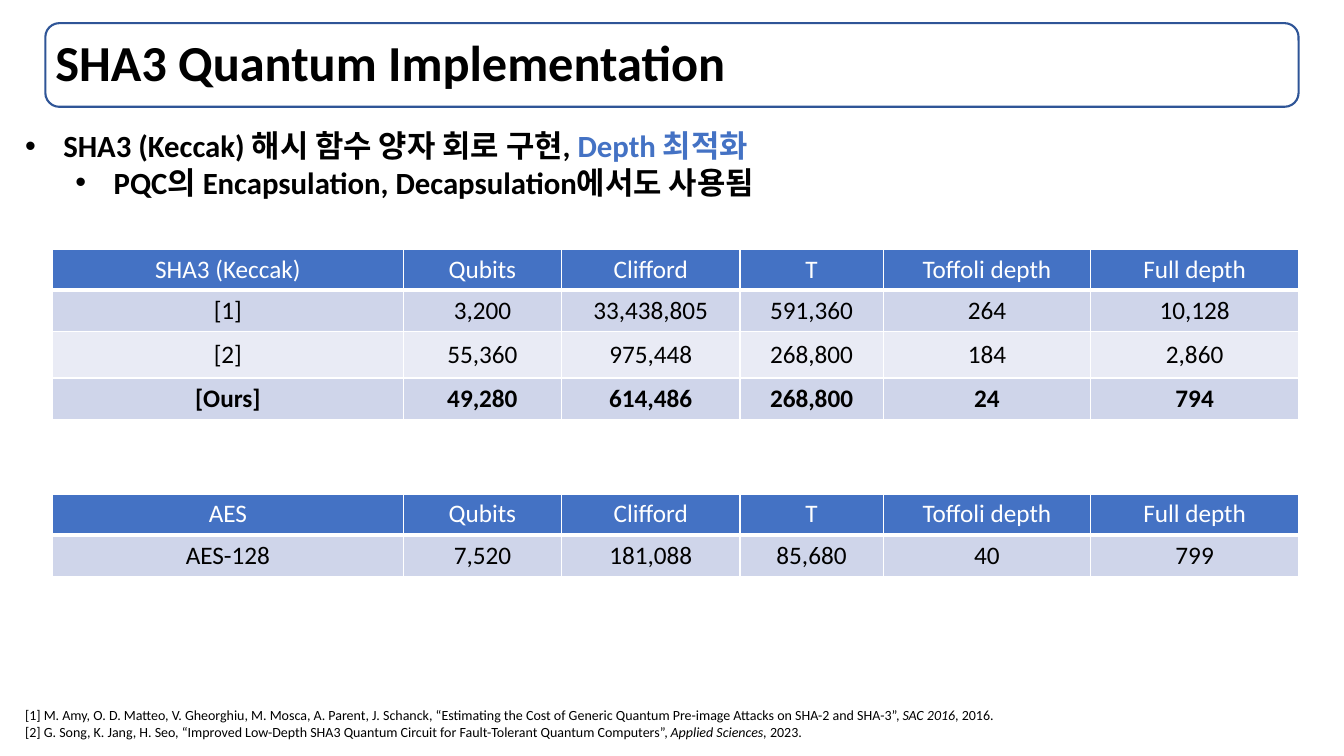
from lxml import etree
from pptx import Presentation
from pptx import util as u
from pptx.dml.color import RGBColor
from pptx.enum import shapes, text
from pptx.oxml import ns

COLORS = {
    "black": "000000",
    "white": "FFFFFF",
    "blue": "4472C4",
    "outline": "2F5597",
    "band_dark": "CFD5EA",
    "band_light": "E9EBF5",
}
FONT = "Calibri"
MEASURES = ["Qubits", "Clifford", "T", "Toffoli depth", "Full depth"]
COLUMN_WIDTHS = [3.48, 1.57, 1.77, 1.42, 2.06, 2.06]
TITLE_AREA = (0.45, 0.23, 12.43, 0.83)


def color(name):
    return RGBColor.from_string(COLORS[name])


def box(area):
    return [u.Inches(length) for length in area]


def style_run(run, size, color_name="black", bold=False, italic=False):
    run.font.name = FONT
    run.font.size = u.Pt(size)
    run.font.color.rgb = color(color_name)
    run.font.bold = bold
    run.font.italic = italic


def add_runs(paragraph, pieces, size, bold=False):
    for words, options in pieces:
        run = paragraph.add_run()
        run.text = words
        style_run(run, size, **{"bold": bold, **options})


def add_bullet(paragraph, left, hanging):
    properties = paragraph._p.get_or_add_pPr()
    properties.set("marL", str(u.Inches(left)))
    properties.set("indent", str(-u.Inches(hanging)))
    etree.SubElement(properties, ns.qn("a:buFont")).set("typeface", "Arial")
    etree.SubElement(properties, ns.qn("a:buChar")).set("char", "•")


def add_text(slide, area, paragraphs, size, bold=False, bullets=False, wrap=True):
    frame = slide.shapes.add_textbox(*box(area)).text_frame
    frame.word_wrap = wrap
    for index, pieces in enumerate(paragraphs):
        paragraph = frame.add_paragraph() if index else frame.paragraphs[0]
        if bullets:
            paragraph.level = index
            add_bullet(paragraph, 0.38 + 0.5 * index, 0.38)
        add_runs(paragraph, pieces, size, bold)
    return frame


def add_title(slide, words):
    frame = add_text(slide, TITLE_AREA, [[(words, {})]], 36, bold=True)
    frame.vertical_anchor = text.MSO_ANCHOR.MIDDLE
    frame.paragraphs[0].line_spacing = 0.9


def add_title_outline(slide):
    shape = slide.shapes.add_shape(shapes.MSO_SHAPE.ROUNDED_RECTANGLE, *box(TITLE_AREA))
    shape.shadow.inherit = False
    shape.fill.background()
    shape.line.color.rgb = color("outline")
    shape.line.width = u.Pt(1.5)


def add_borders(cell, bottom_width):
    properties = cell._tc.get_or_add_tcPr()
    for side, width in zip("LRTB", [1, 1, 1, bottom_width]):
        line = etree.SubElement(properties, ns.qn(f"a:ln{side}"))
        line.set("w", str(u.Pt(width)))
        fill = etree.SubElement(line, ns.qn("a:solidFill"))
        etree.SubElement(fill, ns.qn("a:srgbClr")).set("val", COLORS["white"])


def fill_cell(cell, words, row, bold):
    header = row == 0
    add_borders(cell, 3 if header else 1)
    cell.fill.solid()
    band = "band_dark" if row % 2 else "band_light"
    cell.fill.fore_color.rgb = color("blue" if header else band)
    if not header:
        cell.vertical_anchor = text.MSO_ANCHOR.MIDDLE
    cell.text_frame.text = words
    paragraph = cell.text_frame.paragraphs[0]
    paragraph.alignment = text.PP_ALIGN.CENTER
    style_run(paragraph.runs[0], 18, "white" if header else "black", bold)


def add_cost_table(slide, top, name, rows, heights, bold_row=None):
    area = (0.52, top, sum(COLUMN_WIDTHS), sum(heights))
    table = slide.shapes.add_table(len(heights), len(COLUMN_WIDTHS), *box(area)).table
    for column, width in zip(table.columns, COLUMN_WIDTHS):
        column.width = u.Inches(width)
    for table_row, height in zip(table.rows, heights):
        table_row.height = u.Inches(height)
    for row, values in enumerate([[name] + MEASURES] + rows):
        for column, words in enumerate(values):
            fill_cell(table.cell(row, column), words, row, row == bold_row)


def main():
    presentation = Presentation()
    presentation.slide_width = u.Inches(13.33)
    presentation.slide_height = u.Inches(7.5)
    slide = presentation.slides.add_slide(presentation.slide_layouts[6])

    add_title_outline(slide)
    add_cost_table(slide, 2.47, "SHA3 (Keccak)", [
        ["[1]", "3,200", "33,438,805", "591,360", "264", "10,128"],
        ["[2]", "55,360", "975,448", "268,800", "184", "2,860"],
        ["[Ours]", "49,280", "614,486", "268,800", "24", "794"],
    ], [0.41, 0.41, 0.46, 0.41], bold_row=3)
    add_text(slide, (0.15, 6.96, 12.41, 0.44), [
        [("[1] M. Amy, O. D. Matteo, V. Gheorghiu, M. Mosca, A. Parent, J. Schanck, "
          "“Estimating the Cost of Generic Quantum Pre-image Attacks on SHA-2 and SHA-3”, ", {}),
         ("SAC 2016", {"italic": True}),
         (", 2016.", {})],
        [("[2] G. Song, K. Jang, H. Seo, “Improved Low-Depth SHA3 Quantum Circuit "
          "for Fault-Tolerant Quantum Computers”, ", {}),
         ("Applied Sciences,", {"italic": True}),
         (" 2023.", {})],
    ], 10)
    add_text(slide, (0.15, 1.21, 7.77, 0.84), [
        [("SHA3 (Keccak) 해시 함수 양자 회로 구현, ", {}),
         ("Depth 최적화", {"color_name": "blue"})],
        [("PQC의 Encapsulation, Decapsulation에서도 사용됨", {})],
    ], 22, bold=True, bullets=True, wrap=False)
    add_title(slide, "SHA3 Quantum Implementation")
    add_cost_table(slide, 4.9, "AES", [
        ["AES-128", "7,520", "181,088", "85,680", "40", "799"],
    ], [0.41, 0.41])

    presentation.save("out.pptx")


if __name__ == "__main__":
    main()
